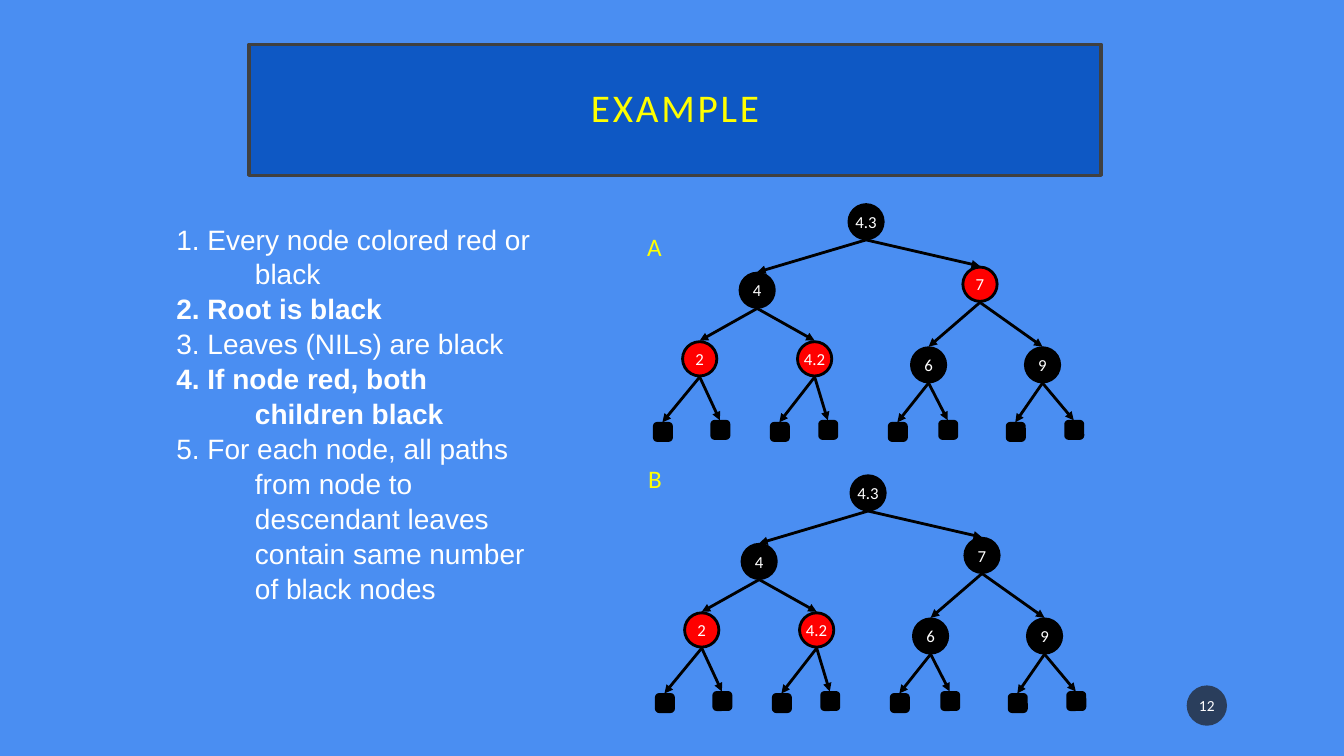
from dataclasses import dataclass
from typing import Optional

from lxml import etree
from pptx import Presentation
from pptx import util as u
from pptx.dml import color
from pptx.enum import shapes, text
from pptx.oxml import ns

PX = 9144  # 100 px to the inch


@dataclass(frozen=True)
class Theme:
    background: str = "4A8EF2"
    banner: str = "0E58C4"
    frame: str = "404040"
    badge: str = "1D1D1D"
    black: str = "000000"
    red: str = "FF0000"
    white: str = "FFFFFF"
    yellow: str = "FFFF00"
    sans: str = "Calibri"
    body: str = "Arial"
    title_size: float = 28
    rule_size: float = 20
    label_size: float = 18
    node_size: float = 12
    badge_size: float = 11
    stroke: float = 2
    frame_stroke: float = 2.5


THEME = Theme()


@dataclass(frozen=True)
class Node:
    left: int
    top: int
    parent: Optional[str]
    key: str = ""  # leaves have no key

    @property
    def size(self) -> int:
        return 34 if self.key else 17

    @property
    def centre(self) -> int:
        return self.left + self.size // 2


@dataclass(frozen=True)
class Tree:
    label: str
    label_left: int
    label_top: int
    dx: int
    dy: int
    red_keys: tuple


@dataclass(frozen=True)
class Rule:
    wording: str
    bold: bool = False


KEYED = [
    Node(842, 203, None, "4.3"),
    Node(734, 271, "4.3", "4"),
    Node(955, 265, "4.3", "7"),
    Node(677, 339, "4", "2"),
    Node(791, 339, "4", "4.2"),
    Node(904, 345, "7", "6"),
    Node(1017, 345, "7", "9"),
]
LEAF_PAIRS = {"2": (649, 706), "4.2": (765, 813), "6": (882, 932), "9": (999, 1057)}
LEAVES = [Node(left, top, parent)
          for parent, pair in LEAF_PAIRS.items()
          for left, top in zip(pair, (420, 418))]
TREES = [
    Tree("A", 632, 225, 0, 0, ("7", "2", "4.2")),
    Tree("B", 633, 455, 2, 269, ("2", "4.2")),
]
RULES = [
    Rule("1. Every node colored red or black"),
    Rule("2. Root is black", True),
    Rule("3. Leaves (NILs) are black"),
    Rule("4. If node red, both children black", True),
    Rule("5. For each node, all paths from node to descendant leaves "
         "contain same number of black nodes"),
]


def rgb(code: str) -> color.RGBColor:
    return color.RGBColor.from_string(code)


def apply(target, values: dict) -> None:
    for name, value in values.items():
        setattr(target, name, value)


def write(paragraph, wording: str, size: float, ink: str, font: str = THEME.sans,
          bold: bool = False, align=text.PP_ALIGN.CENTER):
    paragraph.alignment = align
    run = paragraph.add_run()
    run.text = wording
    apply(run.font, {"size": u.Pt(size), "name": font, "bold": bold})
    run.font.color.rgb = rgb(ink)
    return run


def add_block(slide, kind, left: int, top: int, width: int, height: int,
              fill: str, line: Optional[str] = None, weight: float = THEME.stroke):
    block = slide.shapes.add_shape(kind, left * PX, top * PX, width * PX, height * PX)
    block.shadow.inherit = False
    block.fill.solid()
    block.fill.fore_color.rgb = rgb(fill)
    if line:
        block.line.color.rgb = rgb(line)
        block.line.width = u.Pt(weight)
    else:
        block.line.fill.background()
    block.text_frame.vertical_anchor = text.MSO_ANCHOR.MIDDLE
    return block


def add_text_box(slide, left: int, top: int, width: int, height: int, wrap: bool):
    box = slide.shapes.add_textbox(left * PX, top * PX, width * PX, height * PX)
    box.text_frame.word_wrap = wrap
    return box.text_frame


def add_edge(slide, parent: Node, child: Node, tree: Tree) -> None:
    edge = slide.shapes.add_connector(
        shapes.MSO_CONNECTOR.STRAIGHT,
        (parent.centre + tree.dx) * PX, (parent.top + parent.size + 1 + tree.dy) * PX,
        (child.centre + tree.dx) * PX, (child.top - 1 + tree.dy) * PX)
    edge.line.color.rgb = rgb(THEME.black)
    edge.line.width = u.Pt(THEME.stroke)
    etree.SubElement(edge.line._get_or_add_ln(), ns.qn("a:tailEnd"), type="triangle")
    etree.SubElement(edge._element.spPr, ns.qn("a:effectLst"))


def add_tree(slide, tree: Tree) -> None:
    parents = {node.key: node for node in KEYED}
    for node in KEYED + LEAVES:
        kind = shapes.MSO_SHAPE.OVAL if node.key else shapes.MSO_SHAPE.ROUNDED_RECTANGLE
        fill = THEME.red if node.key in tree.red_keys else THEME.black
        block = add_block(slide, kind, node.left + tree.dx, node.top + tree.dy,
                          node.size, node.size, fill, THEME.black)
        if node.key:
            block.text_frame.word_wrap = False
            write(block.text_frame.paragraphs[0], node.key, THEME.node_size, THEME.white)
    for node in KEYED + LEAVES:
        if node.parent:
            add_edge(slide, parents[node.parent], node, tree)
    label = add_text_box(slide, tree.label_left, tree.label_top, 35, 40, False)
    label.auto_size = text.MSO_AUTO_SIZE.SHAPE_TO_FIT_TEXT
    write(label.paragraphs[0], tree.label, THEME.label_size, THEME.yellow,
          align=text.PP_ALIGN.LEFT)


def add_title(slide) -> None:
    banner = add_block(slide, shapes.MSO_SHAPE.RECTANGLE, 247, 44, 845, 130,
                       THEME.banner, THEME.frame, THEME.frame_stroke)
    heading = banner.text_frame.paragraphs[0]
    heading.line_spacing = 0.9
    run = write(heading, "EXAMPLE", THEME.title_size, THEME.yellow)
    run.font._element.set("spc", "200")


def add_rules(slide) -> None:
    frame = add_text_box(slide, 165, 214, 379, 475, True)
    for index, rule in enumerate(RULES):
        paragraph = frame.add_paragraph() if index else frame.paragraphs[0]
        paragraph.line_spacing = 1.04
        hanging = {"marL": 78 * PX, "indent": -78 * PX}
        for name, value in hanging.items():
            paragraph._p.get_or_add_pPr().set(name, str(value))
        write(paragraph, rule.wording, THEME.rule_size, THEME.white, THEME.body,
              rule.bold, text.PP_ALIGN.LEFT)


def add_page_badge(slide) -> None:
    badge = add_block(slide, shapes.MSO_SHAPE.OVAL, 1177, 680, 40, 40, THEME.badge)
    tint = badge._element.spPr.find(ns.qn("a:solidFill"))[0]
    etree.SubElement(tint, ns.qn("a:alpha"), val="70000")
    apply(badge.text_frame, {"margin_left": 2 * PX, "margin_right": 2 * PX})
    write(badge.text_frame.paragraphs[0], "12", THEME.badge_size, THEME.white)


def main() -> None:
    deck = Presentation()
    apply(deck, {"slide_width": 1333 * PX, "slide_height": 750 * PX})
    slide = deck.slides.add_slide(deck.slide_layouts[6])
    slide.background.fill.solid()
    slide.background.fill.fore_color.rgb = rgb(THEME.background)

    # Page number and title
    add_page_badge(slide)
    add_title(slide)

    # Red-black rules
    add_rules(slide)

    # Example trees
    for tree in TREES:
        add_tree(slide, tree)

    deck.save("out.pptx")


if __name__ == "__main__":
    main()
